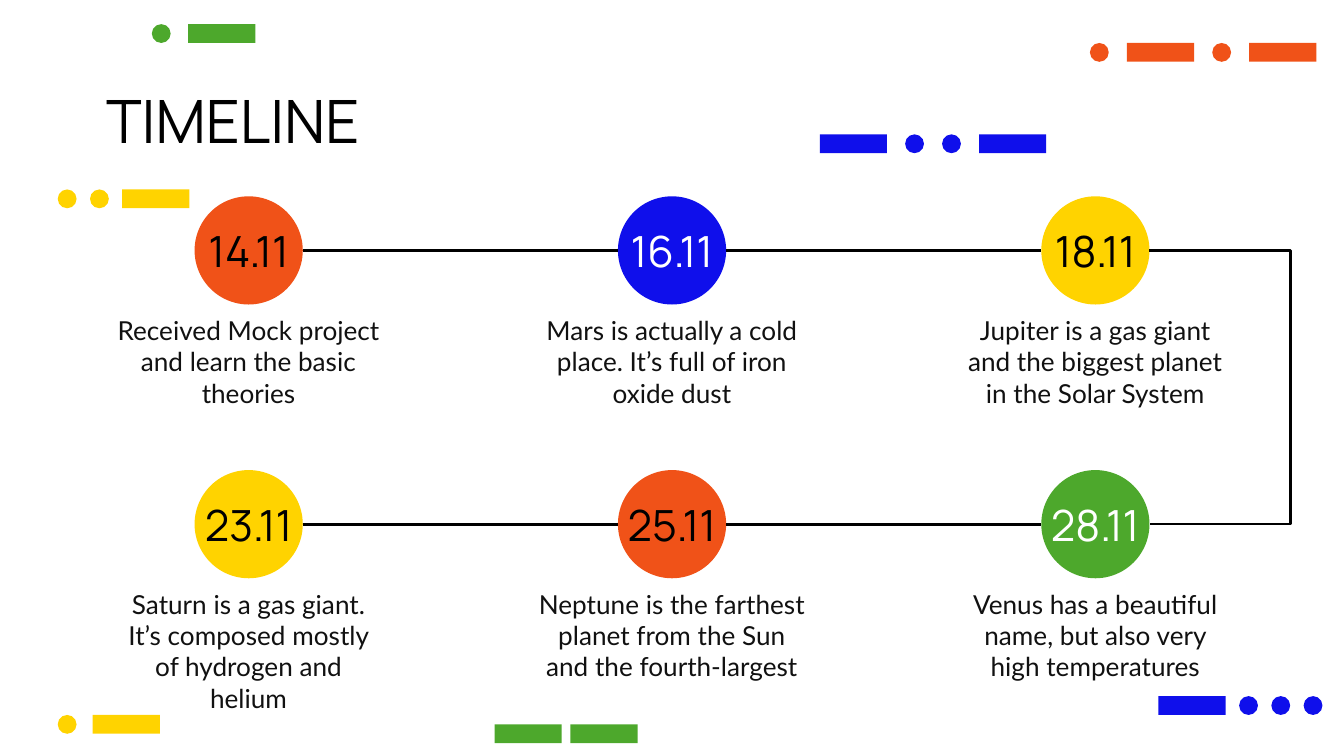
from itertools import product

from lxml.etree import SubElement
from pptx import Presentation
from pptx.dml.color import RGBColor
from pptx.enum.shapes import MSO_CONNECTOR, MSO_SHAPE
from pptx.enum.text import MSO_ANCHOR, PP_ALIGN
from pptx.oxml.ns import qn
from pptx.util import Inches, Pt

GREEN = RGBColor(0x4D, 0xA8, 0x2C)
YELLOW = RGBColor(0xFF, 0xD3, 0x00)
BLUE = RGBColor(0x0F, 0x0F, 0xEB)
ORANGE = RGBColor(0xF0, 0x52, 0x18)
BLACK = RGBColor(0x00, 0x00, 0x00)
WHITE = RGBColor(0xFF, 0xFF, 0xFF)
INK = RGBColor(0x11, 0x11, 0x11)

COLUMNS, ROWS = 100, 56.25
DIAMETER = 8.05
RADIUS = DIAMETER / 2
CENTERS = (18.5, 50, 81.5)
LEVELS = (18.63, 39)
TURN = 94.4

CODES = [
    ("--", 36.8, 53.9, 0.65, GREEN),
    (".-", 4.3, 53.2, 1.2, YELLOW),
    ("..-", 4.3, 14.1, 1, YELLOW),
    (".-", 11.3, 1.8, 1.3, GREEN),
    ("-..-", 61, 10, 1.35, BLUE),
    ("-...", 86.2, 51.8, 1, BLUE),
    (".-.-", 81.1, 3.2, 1.35, ORANGE),
]

EVENTS = [
    ("14.11", "Received Mock project and learn the basic theories", ORANGE, BLACK),
    ("16.11", "Mars is actually a cold place. It’s full of iron oxide dust", BLUE, WHITE),
    ("18.11", "Jupiter is a gas giant and the biggest planet in the Solar System", YELLOW, BLACK),
    ("23.11", "Saturn is a gas giant. It’s composed mostly of hydrogen and helium", YELLOW, BLACK),
    ("25.11", "Neptune is the farthest planet from the Sun and the fourth-largest", ORANGE, BLACK),
    ("28.11", "Venus has a beautiful name, but also very high temperatures", GREEN, WHITE),
]


class TimelineSlide:
    """Draws the timeline's elements on a grid of columns and rows."""

    heading_font = "Manrope"
    body_font = "Lato"
    line_width = Pt(1.5)
    symbols = {".": (MSO_SHAPE.OVAL, 1.4), "-": (MSO_SHAPE.RECTANGLE, 5)}

    def __init__(self, presentation):
        self.column = presentation.slide_width / COLUMNS
        self.row = presentation.slide_height / ROWS
        self.shapes = presentation.slides.add_slide(presentation.slide_layouts[6]).shapes

    def place(self, left, top, width, height):
        return (round(left * self.column), round(top * self.row),
                round(width * self.column), round(height * self.row))

    def solid(self, kind, left, top, width, height, color):
        figure = self.shapes.add_shape(kind, *self.place(left, top, width, height))
        figure.shadow.inherit = False
        figure.fill.solid()
        figure.fill.fore_color.rgb = color
        figure.line.fill.background()

    def code(self, pattern, left, top, gap, color):
        for symbol in pattern:
            kind, width = self.symbols[symbol]
            self.solid(kind, left, top, width, 1.4, color)
            left += width + gap

    def text(self, words, left, top, width, height, font, size, color,
             align=PP_ALIGN.CENTER, anchor=MSO_ANCHOR.TOP, indent=0.1):
        frame = self.shapes.add_textbox(*self.place(left, top, width, height)).text_frame
        frame.word_wrap = True
        frame.vertical_anchor = anchor
        frame.margin_left = Inches(indent)
        frame.margin_right = frame.margin_top = frame.margin_bottom = Inches(0.1)
        paragraph = frame.paragraphs[0]
        paragraph.text = words
        paragraph.alignment = align
        paragraph.font.name = font
        paragraph.font.size = Pt(size)
        paragraph.font.color.rgb = color

    def connect(self, kind, x1, y1, x2, y2):
        link = self.shapes.add_connector(kind, *self.place(x1, y1, x2, y2))
        link.line.color.rgb = BLACK
        link.line.width = self.line_width
        SubElement(link._element.spPr, qn("a:effectLst"))
        return link

    def bend(self, x, y1, y2, turn):
        link = self.connect(MSO_CONNECTOR.ELBOW, x, y1, x + 0.01, y2)
        reach = round((turn - x) * self.column / link.width * 100000)
        guides = link._element.spPr.find(qn("a:prstGeom")).get_or_add_avLst()
        SubElement(guides, qn("a:gd"), name="adj1", fmla=f"val {reach}")

    def event(self, x, y, date, story, fill, ink):
        self.text(story, x - 11, y + 3.75, 22, 8.1, self.body_font, 14, INK)
        self.solid(MSO_SHAPE.OVAL, x - RADIUS, y - RADIUS, DIAMETER, DIAMETER, fill)
        self.text(date, x - 5.5, y - 1.45, 11, 2.9, self.heading_font, 23, ink,
                  anchor=MSO_ANCHOR.MIDDLE)


def main():
    presentation = Presentation()
    presentation.slide_width = Inches(10)
    presentation.slide_height = Inches(5.625)
    slide = TimelineSlide(presentation)

    for code in CODES:
        slide.code(*code)
    slide.text("TIMELINE", 7.9, 5.2, 84.3, 6.3, slide.heading_font, 32, BLACK,
               align=PP_ALIGN.LEFT, indent=0)
    for (y, x), event in zip(product(LEVELS, CENTERS), EVENTS):
        slide.event(x, y, *event)
    for y, (start, end) in product(LEVELS, zip(CENTERS, CENTERS[1:])):
        slide.connect(MSO_CONNECTOR.STRAIGHT, start + RADIUS, y, end - RADIUS, y)
    slide.bend(CENTERS[-1] + RADIUS, *LEVELS, TURN)

    presentation.save("out.pptx")


if __name__ == "__main__":
    main()
